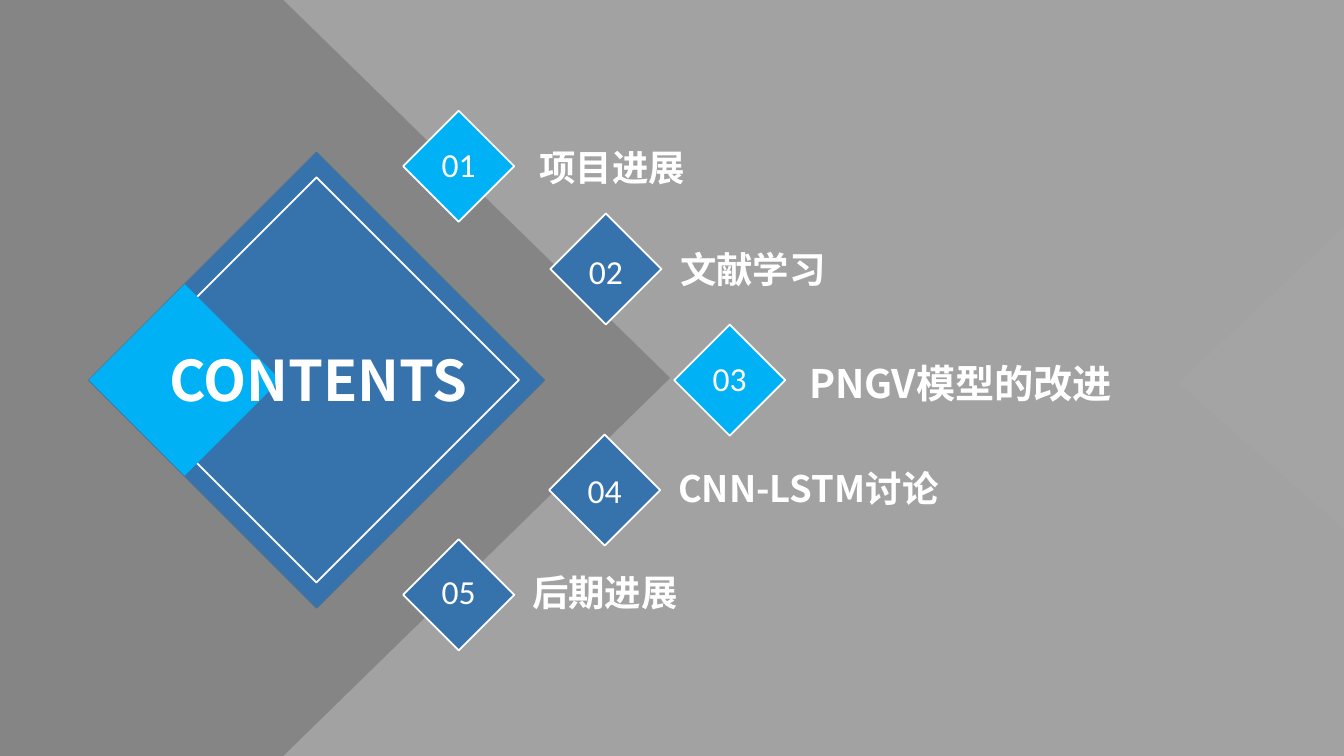
from dataclasses import dataclass
from typing import Optional

from lxml.etree import SubElement
from pptx import Presentation
from pptx.dml.color import RGBColor
from pptx.enum.shapes import MSO_SHAPE
from pptx.enum.text import MSO_AUTO_SIZE, PP_ALIGN
from pptx.oxml.ns import qn
from pptx.util import Cm, Pt

WHITE = RGBColor(0xFF, 0xFF, 0xFF)
BACKDROP = RGBColor(0x5A, 0x5A, 0x5A)
ARROW_GREY = RGBColor(0x7A, 0x7A, 0x7A)
NOTCH_GREY = RGBColor(0xA6, 0xA6, 0xA6)
BLUE = RGBColor(0x36, 0x72, 0xAC)
BLUE_EDGE = RGBColor(0x43, 0x73, 0x9E)
CYAN = RGBColor(0x01, 0xB1, 0xF5)

HEADING_FONT = "Noto Sans CJK SC"
NUMBER_FONT = "Calibri"
WIDTH, HEIGHT = 33.87, 19.05
BADGE = 2.8


@dataclass
class Section:
    number: str
    title: str
    color: RGBColor
    x: float
    y: float
    number_y: float
    title_x: float
    title_y: float
    title_width: float = 8.59
    size: int = 26


@dataclass
class Diamond:
    x: float
    y: float
    size: float
    fill: Optional[RGBColor] = None
    line: Optional[RGBColor] = None
    weight: float = 1.25


SECTIONS = [
    Section("01", "项目进展", CYAN, 10.16, 2.79, 3.51, 13.34, 3.53, 10.57),
    Section("02", "文献学习", BLUE, 13.87, 5.38, 6.2, 16.89, 6.1, 12.6),
    Section("03", "PNGV模型的改进", CYAN, 16.99, 8.18, 8.89, 20.14, 8.92, size=28),
    Section("04", "CNN-LSTM讨论", BLUE, 13.84, 10.95, 11.71, 16.84, 11.61),
    Section("05", "后期进展", BLUE, 10.16, 13.59, 14.27, 13.16, 14.25),
]
EMBLEM = [
    Diamond(2.24, 3.84, 11.48, BLUE, BLUE_EDGE, 1),
    Diamond(2.87, 4.47, 10.21, line=WHITE),
    Diamond(2.24, 7.16, 4.83, CYAN),
]


def paint_translucent(shape, color: RGBColor, opacity: int) -> None:
    shape.shadow.inherit = False
    shape.line.fill.background()
    shape.fill.solid()
    shape.fill.fore_color.rgb = color
    srgb = shape.fill._xPr.find(qn("a:solidFill")).find(qn("a:srgbClr"))
    SubElement(srgb, qn("a:alpha")).set("val", str(opacity * 1000))


def add_polygon(shapes, points: list, color: RGBColor, opacity: int) -> None:
    corners = [(Cm(x), Cm(y)) for x, y in points]
    builder = shapes.build_freeform(*corners[0])
    builder.add_line_segments(corners[1:], close=True)
    paint_translucent(builder.convert_to_shape(), color, opacity)


def add_diamond(shapes, diamond: Diamond) -> None:
    shape = shapes.add_shape(MSO_SHAPE.DIAMOND, Cm(diamond.x), Cm(diamond.y),
                             Cm(diamond.size), Cm(diamond.size))
    shape.shadow.inherit = False
    if diamond.fill is None:
        shape.fill.background()
    else:
        shape.fill.solid()
        shape.fill.fore_color.rgb = diamond.fill
    if diamond.line is None:
        shape.line.fill.background()
    else:
        shape.line.color.rgb = diamond.line
        shape.line.width = Pt(diamond.weight)


def add_label(shapes, text: str, x: float, y: float, width: float, height: float,
              size: int, heading: bool = True) -> None:
    frame = shapes.add_textbox(Cm(x), Cm(y), Cm(width), Cm(height)).text_frame
    frame.word_wrap = heading
    frame.auto_size = MSO_AUTO_SIZE.SHAPE_TO_FIT_TEXT
    paragraph = frame.paragraphs[0]
    paragraph.alignment = PP_ALIGN.LEFT if heading else PP_ALIGN.CENTER
    run = paragraph.add_run()
    run.text = text
    run.font.size = Pt(size)
    run.font.bold = heading
    run.font.color.rgb = WHITE
    run.font.name = HEADING_FONT if heading else NUMBER_FONT
    # East Asian glyphs take their own typeface entry
    SubElement(run.font._element, qn("a:ea")).set("typeface", run.font.name)


def add_section(shapes, section: Section) -> None:
    add_diamond(shapes, Diamond(section.x, section.y, BADGE, section.color, WHITE))
    add_label(shapes, section.number, section.x + 0.65, section.number_y,
              1.5, 1.27, 24, heading=False)
    add_label(shapes, section.title, section.title_x, section.title_y,
              section.title_width, 1.37, section.size)


def main() -> None:
    presentation = Presentation()
    presentation.slide_width, presentation.slide_height = Cm(WIDTH), Cm(HEIGHT)
    shapes = presentation.slides.add_slide(presentation.slide_layouts[6]).shapes

    # Grey backdrop with the large arrow
    backdrop = shapes.add_shape(MSO_SHAPE.RECTANGLE, 0, 0, Cm(WIDTH), Cm(HEIGHT))
    paint_translucent(backdrop, BACKDROP, 56)
    add_polygon(shapes, [(0, 0), (7.14, 0), (16.89, HEIGHT / 2), (7.14, HEIGHT),
                         (0, HEIGHT)], ARROW_GREY, 70)

    # Emblem, right-hand notch and heading
    for diamond in EMBLEM:
        add_diamond(shapes, diamond)
    add_polygon(shapes, [(WIDTH, 13.34), (29.69, 9.65), (WIDTH, 5.72)], NOTCH_GREY, 61)
    add_label(shapes, "CONTENTS", 4.01, 8.59, 8.56, 1.96, 40)

    # Numbered sections
    for section in SECTIONS:
        add_section(shapes, section)

    presentation.save("out.pptx")


if __name__ == "__main__":
    main()
